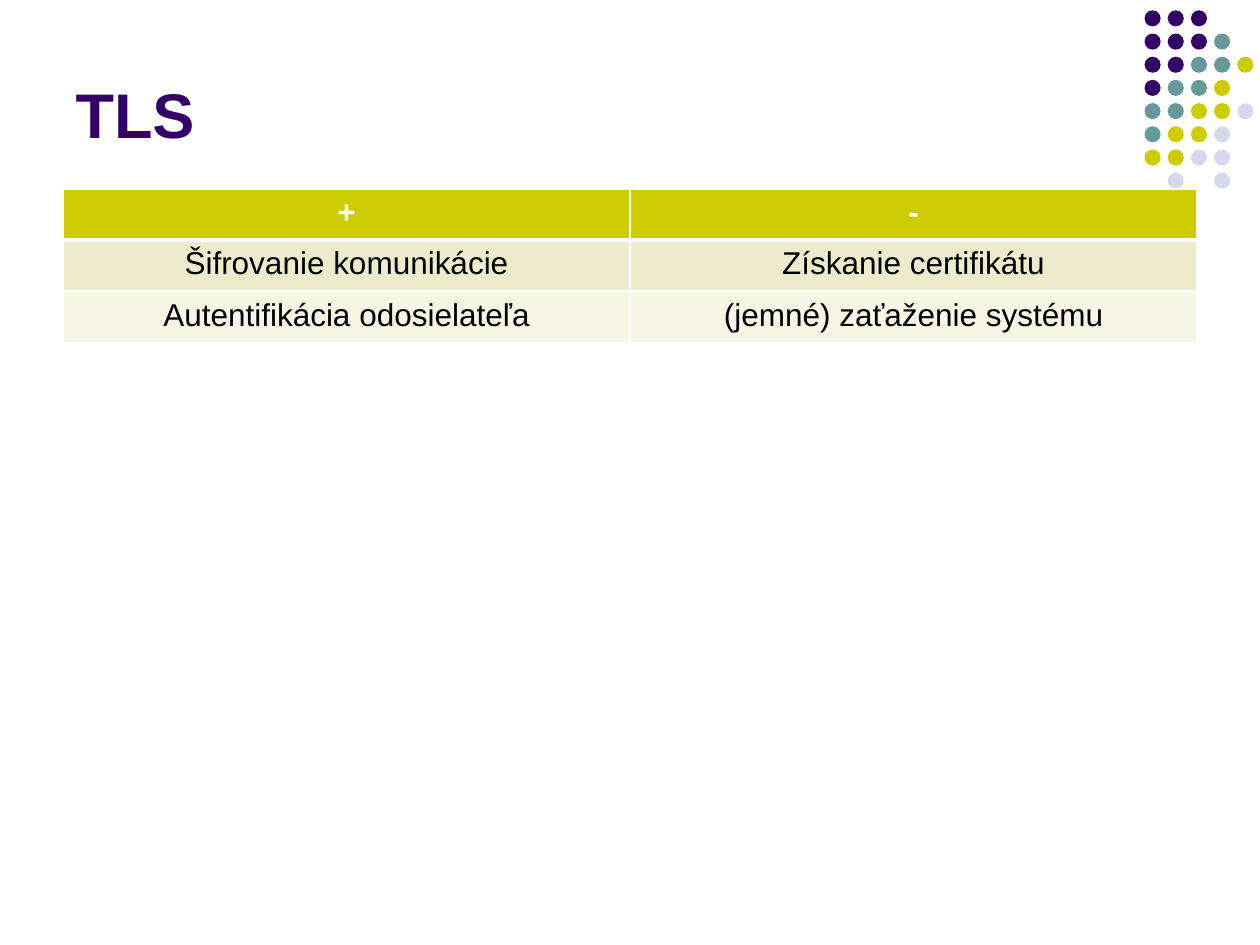
from pptx import Presentation
from pptx.dml.color import RGBColor
from pptx.enum.shapes import MSO_SHAPE as Kind
from pptx.enum.text import MSO_ANCHOR as Anchor, MSO_AUTO_SIZE as Fit, PP_ALIGN as Align
from pptx.oxml import parse_xml
from pptx.oxml.ns import nsdecls
from pptx.util import Pt


def paint(fill, color):
    fill.solid()
    fill.fore_color.rgb = RGBColor.from_string(color)


def style(par, color, align, **form):
    par.alignment = align
    paint(par.font.fill, color)
    for key, value in form.items():
        setattr(par.font, key, value)


deck = Presentation()
deck.slide_width, deck.slide_height = Pt(720), Pt(540)
slide = deck.slides.add_slide(deck.slide_layouts[5])

# Dots in the corner: one letter per colour
tones = {"P": "330066", "T": "669999", "Y": "CCCC00", "L": "D8D8EC"}
dots = ["PPP", "PPPT", "PPTTY", "PTTY", "TTYYL", "TYYL", "YYLL", " L L"]
step, size = 13.25, 9.2
group = slide.shapes.add_group_shape()
for r, line in enumerate(dots):
    for c, tone in enumerate(line):
        if tone in tones:
            dot = group.shapes.add_shape(
                Kind.OVAL, Pt(654 + c * step), Pt(5.9 + r * step), Pt(size), Pt(size))
            dot.shadow.inherit = False
            paint(dot.fill, tones[tone])
            dot.line.fill.background()

# Title
title = slide.shapes.title
box = {"left": 36, "top": 9.4, "width": 612, "height": 80.6}
for key, value in box.items():
    setattr(title, key, Pt(value))
frame = title.text_frame
frame.text = "TLS"
frame.auto_size = Fit.NONE
frame.vertical_anchor = Anchor.BOTTOM
style(frame.paragraphs[0], "330066", Align.LEFT, name="Arial", size=Pt(36), bold=True)

# Table of pros and cons
rows = [("+", "-"),
        ("Šifrovanie komunikácie", "Získanie certifikátu"),
        ("Autentifikácia odosielateľa", "(jemné) zaťaženie systému")]
fills = ["CCCC00", "ECECCC", "F6F6E7"]
high = 29.2
table = slide.shapes.add_table(
    3, 2, Pt(36), Pt(108), Pt(648), Pt(high * 3)).table
for r, texts in enumerate(rows):
    table.rows[r].height = Pt(high)
    head = r == 0
    for c, text in enumerate(texts):
        cell = table.cell(r, c)
        cell.text = text
        paint(cell.fill, fills[r])
        style(cell.text_frame.paragraphs[0], "FFFFFF" if head else "000000",
              Align.CENTER, name="Arial", size=Pt(18), bold=head)
        # White borders, thick between the head and the body
        wide = {"L": 1, "R": 1, "T": 3 if r == 1 else 1, "B": 3 if head else 1}
        props = cell._tc.get_or_add_tcPr()
        for i, (side, width) in enumerate(wide.items()):
            props.insert(i, parse_xml(
                f'<a:ln{side} {nsdecls("a")} w="{Pt(width)}"><a:solidFill>'
                f'<a:srgbClr val="FFFFFF"/></a:solidFill></a:ln{side}>'))

deck.save("out.pptx")
